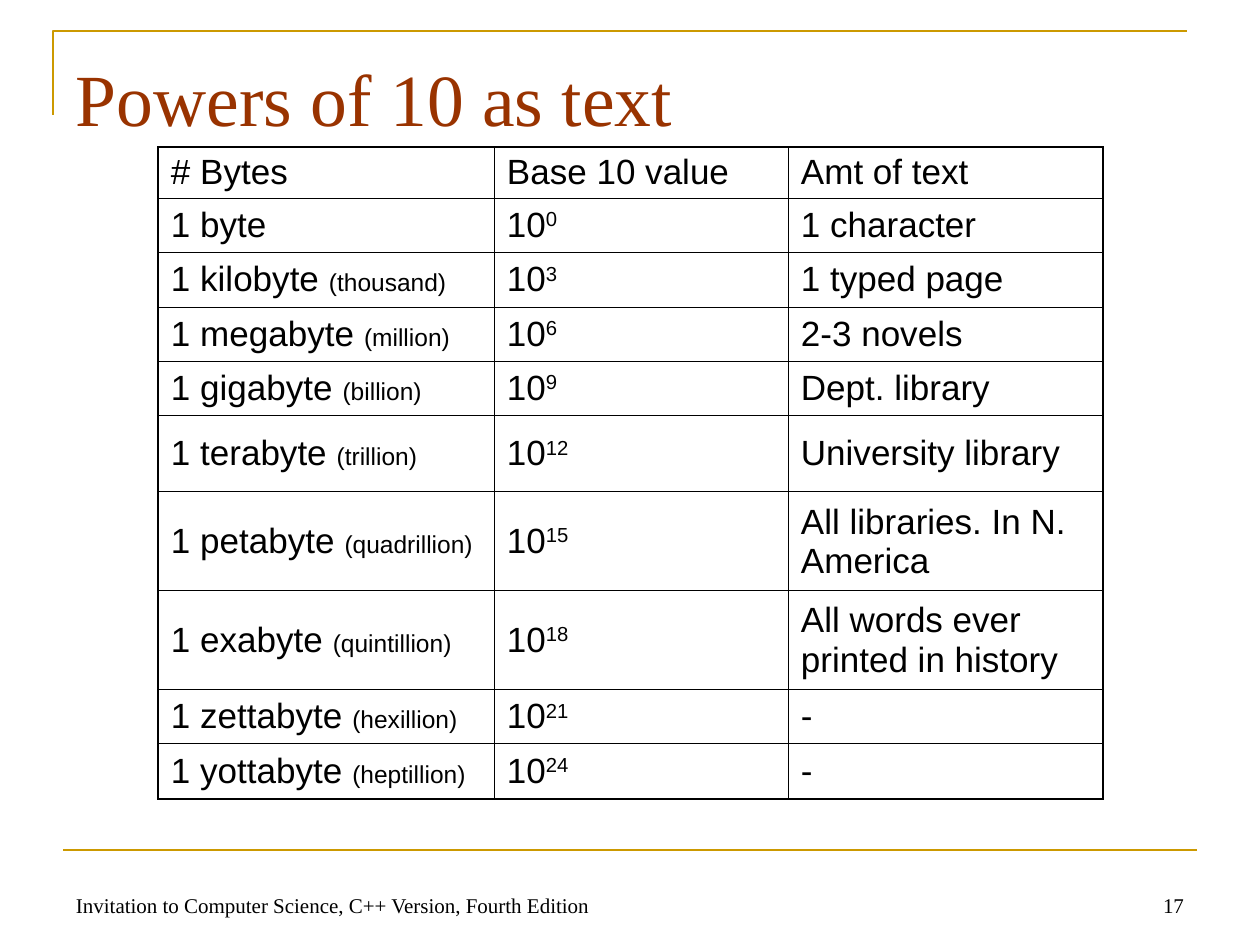
from dataclasses import dataclass

from lxml import etree
from pptx import Presentation
from pptx.dml.color import RGBColor
from pptx.enum.shapes import MSO_CONNECTOR
from pptx.enum.text import MSO_ANCHOR, MSO_AUTO_SIZE, PP_ALIGN
from pptx.oxml.ns import qn
from pptx.util import Pt

PX = 914400 / 126
TOP, MIDDLE, BOTTOM = MSO_ANCHOR.TOP, MSO_ANCHOR.MIDDLE, MSO_ANCHOR.BOTTOM
LEFT, RIGHT = PP_ALIGN.LEFT, PP_ALIGN.RIGHT
NO_AUTOFIT = MSO_AUTO_SIZE.NONE
STRAIGHT = MSO_CONNECTOR.STRAIGHT


@dataclass(frozen=True)
class Theme:
    ink: str = "000000"
    heading: str = "993300"
    rule: str = "CC9900"
    serif: str = "Times New Roman"
    sans: str = "Arial"
    title_size: int = 42
    cell_size: int = 20
    note_size: int = 14
    footer_size: int = 12
    rule_width: float = 1.5
    outer_border: float = 1.08
    inner_border: float = 0.45


THEME = Theme()
HEADINGS = ("# Bytes", "Base 10 value", "Amt of text")
UNITS = (
    ("byte", "", "1 character"),
    ("kilobyte", "thousand", "1 typed page"),
    ("megabyte", "million", "2-3 novels"),
    ("gigabyte", "billion", "Dept. library"),
    ("terabyte", "trillion", "University library"),
    ("petabyte", "quadrillion", "All libraries. In N. America"),
    ("exabyte", "quintillion", "All words ever printed in history"),
    ("zettabyte", "hexillion", "-"),
    ("yottabyte", "heptillion", "-"),
)
COLUMN_WIDTHS = (336, 294, 315)
ROW_HEIGHTS = (51, 54, 55, 54, 54, 77, 99, 99, 54, 55)


def px(value):
    return round(value * PX)


def apply_format(target, values):
    for name, value in values.items():
        setattr(target, name, value)


def add_span(para, text, size, face, color=THEME.ink, raised=False):
    span = para.add_run()
    span.text = text
    apply_format(span.font, {"size": Pt(size), "name": face})
    span.font.color.rgb = RGBColor.from_string(color)
    if raised:
        span._r.get_or_add_rPr().set("baseline", "30000")


def format_frame(frame, anchor, top_inset=6):
    apply_format(frame, {
        "word_wrap": True,
        "auto_size": NO_AUTOFIT,
        "vertical_anchor": anchor,
        "margin_left": px(13),
        "margin_right": px(13),
        "margin_top": px(top_inset),
        "margin_bottom": px(6),
    })


def style_rule(line):
    line.color.rgb = RGBColor.from_string(THEME.rule)
    line.width = Pt(THEME.rule_width)


def add_corner(page, box):
    left, top, width, height = box
    builder = page.shapes.build_freeform(px(left), px(top + height))
    builder.add_line_segments(
        [(px(left), px(top)), (px(left + width), px(top))], close=False)
    corner = builder.convert_to_shape()
    corner.shadow.inherit = False
    corner.fill.background()
    style_rule(corner.line)


def add_footer(page, box, label, number):
    left, top, width, height = box
    rule = page.shapes.add_connector(
        STRAIGHT, px(left), px(top), px(left + width), px(top))
    etree.SubElement(rule._element.spPr, qn("a:effectLst"))
    style_rule(rule.line)
    parts = ((label, 0, 766, LEFT), (number, width - 294, 294, RIGHT))
    for text, offset, part_width, alignment in parts:
        note = page.shapes.add_textbox(
            px(left + offset), px(top + 11), px(part_width), px(height - 11))
        format_frame(note.text_frame, BOTTOM)
        para = note.text_frame.paragraphs[0]
        para.alignment = alignment
        add_span(para, text, THEME.footer_size, THEME.serif)


def fill_title(page, box, text):
    title = page.shapes.title
    apply_format(title, dict(zip(("left", "top", "width", "height"), map(px, box))))
    format_frame(title.text_frame, TOP, top_inset=15)
    para = title.text_frame.paragraphs[0]
    apply_format(para, {"alignment": LEFT, "line_spacing": 1.0})
    add_span(para, text, THEME.title_size, THEME.serif, THEME.heading)


def set_borders(cell, outer_sides):
    properties = cell._tc.get_or_add_tcPr()
    for side in ("L", "R", "T", "B"):
        width = THEME.outer_border if side in outer_sides else THEME.inner_border
        border = etree.SubElement(properties, qn(f"a:ln{side}"), w=str(Pt(width)))
        fill = etree.SubElement(border, qn("a:solidFill"))
        etree.SubElement(fill, qn("a:srgbClr"), val=THEME.ink)


def table_rows():
    yield [[(heading, THEME.cell_size, False)] for heading in HEADINGS]
    for step, (unit, meaning, amount) in enumerate(UNITS):
        name = [(f"1 {unit} " if meaning else f"1 {unit}", THEME.cell_size, False)]
        if meaning:
            name.append((f"({meaning})", THEME.note_size, False))
        power = [("10", THEME.cell_size, False), (str(3 * step), THEME.cell_size, True)]
        yield [name, power, [(amount, THEME.cell_size, False)]]


def add_units_table(page, left, top):
    row_count, column_count = len(ROW_HEIGHTS), len(COLUMN_WIDTHS)
    table = page.shapes.add_table(
        row_count, column_count, px(left), px(top),
        px(sum(COLUMN_WIDTHS)), px(sum(ROW_HEIGHTS))).table
    apply_format(table, {"first_row": False, "horz_banding": False})
    for column, width in zip(table.columns, COLUMN_WIDTHS):
        column.width = px(width)
    for row, height in zip(table.rows, ROW_HEIGHTS):
        row.height = px(height)
    for row_index, contents in enumerate(table_rows()):
        for column_index, spans in enumerate(contents):
            cell = table.cell(row_index, column_index)
            edges = {"L": column_index == 0, "R": column_index == column_count - 1,
                     "T": row_index == 0, "B": row_index == row_count - 1}
            set_borders(cell, {side for side, outer in edges.items() if outer})
            cell.fill.background()
            apply_format(cell, {
                "vertical_anchor": MIDDLE, "margin_left": px(13),
                "margin_right": px(13), "margin_top": px(6), "margin_bottom": px(6)})
            para = cell.text_frame.paragraphs[0]
            for text, size, raised in spans:
                add_span(para, text, size, THEME.sans, raised=raised)


def main():
    deck = Presentation()
    apply_format(deck, {"slide_width": px(1260), "slide_height": px(945)})
    page = deck.slides.add_slide(deck.slide_layouts[5])
    add_corner(page, (53, 31, 1134, 84))
    add_footer(page, (63, 850, 1134, 74),
               "Invitation to Computer Science, C++ Version, Fourth Edition", "17")
    fill_title(page, (63, 38, 1134, 158), "Powers of 10 as text")
    add_units_table(page, 158, 147)
    deck.save("out.pptx")


if __name__ == "__main__":
    main()
